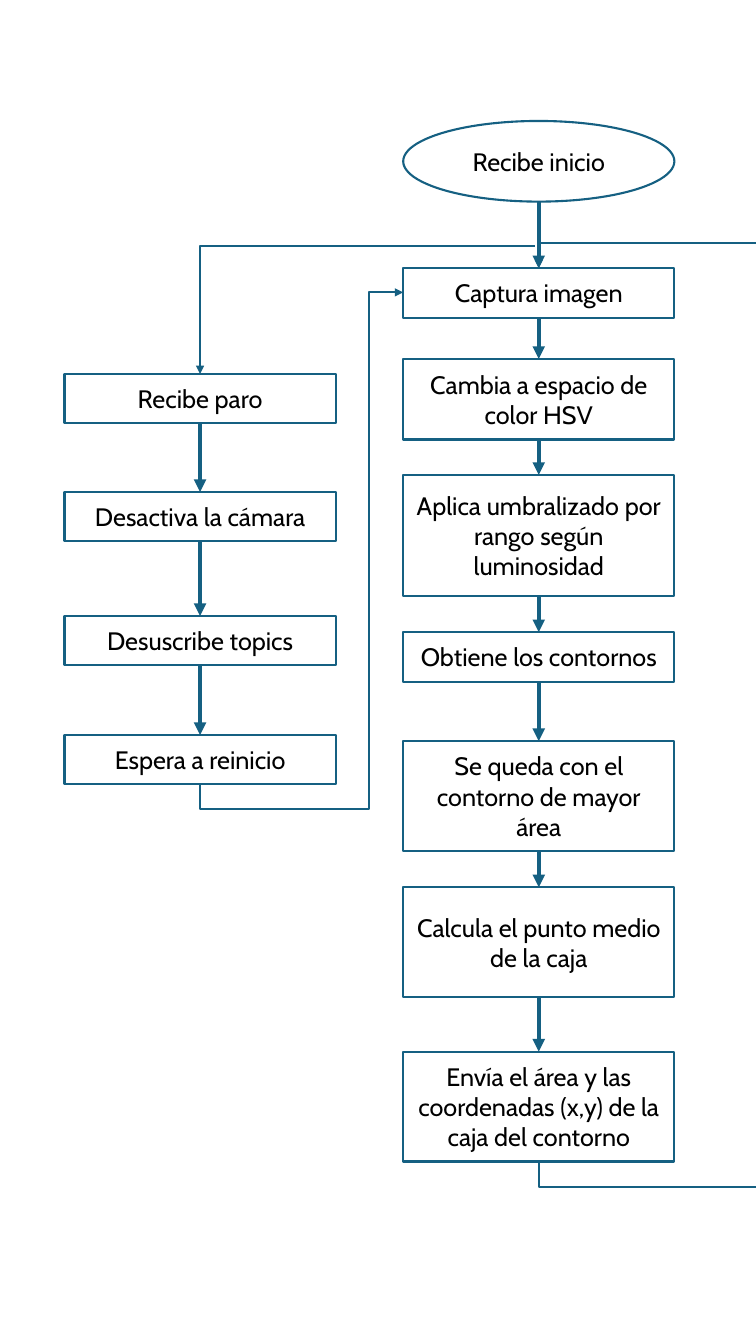
from dataclasses import dataclass

from lxml.etree import SubElement
from pptx import Presentation
from pptx.dml.color import RGBColor
from pptx.enum.shapes import MSO_CONNECTOR as Link, MSO_SHAPE as Form
from pptx.enum.text import MSO_ANCHOR as Anchor, PP_ALIGN as Align
from pptx.oxml.ns import qn
from pptx.util import Inches, Pt


@dataclass(frozen=True)
class Theme:
    font: str = "Cabin"
    text_size: float = 18
    ink: RGBColor = RGBColor(0x00, 0x00, 0x00)
    paper: RGBColor = RGBColor(0xFF, 0xFF, 0xFF)
    accent: RGBColor = RGBColor(0x15, 0x60, 0x82)
    thin: float = 1.5
    thick: float = 3


COLUMNS, ROWS = 75, 133.3
BOX_WIDTH, BOX_HEIGHT = 26.9, 4.9
MAIN_LEFT, STOP_LEFT = 40, 6.4
MAIN_AXIS = MAIN_LEFT + BOX_WIDTH / 2
STOP_AXIS = STOP_LEFT + BOX_WIDTH / 2

MAIN_STEPS = [
    ("Recibe inicio", 12, 8, Form.OVAL),
    ("Captura imagen", 26.6, BOX_HEIGHT, Form.RECTANGLE),
    ("Cambia a espacio de color HSV", 35.6, 8, Form.RECTANGLE),
    ("Aplica umbralizado por rango según luminosidad", 47.1, 12, Form.RECTANGLE),
    ("Obtiene los contornos", 62.7, BOX_HEIGHT, Form.RECTANGLE),
    ("Se queda con el contorno de mayor área", 73.5, 10.9, Form.RECTANGLE),
    ("Calcula el punto medio de la caja", 88, 10.9, Form.RECTANGLE),
    ("Envía el área y las coordenadas (x,y) de la caja del contorno", 104.3, 10.9, Form.RECTANGLE),
]
STOP_STEPS = [
    ("Recibe paro", 37.1, BOX_HEIGHT, Form.RECTANGLE),
    ("Desactiva la cámara", 48.8, BOX_HEIGHT, Form.RECTANGLE),
    ("Desuscribe topics", 61.1, BOX_HEIGHT, Form.RECTANGLE),
    ("Espera a reinicio", 72.9, BOX_HEIGHT, Form.RECTANGLE),
]
LOOP_EXIT = [(MAIN_AXIS, 115.2), (MAIN_AXIS, 117.7), (COLUMNS, 117.7)]
LOOP_RETURN = [(COLUMNS, 24.1), (MAIN_AXIS, 24.1), (MAIN_AXIS, 26.6)]
STOP_BRANCH = [(53.1, 24.4), (STOP_AXIS, 24.4), (STOP_AXIS, 37.1)]
RESTART = [(STOP_AXIS, 77.8), (STOP_AXIS, 80.2), (36.6, 80.2), (36.6, 29), (MAIN_LEFT, 29)]


class Flowchart:
    def __init__(self, deck, theme):
        self.theme = theme
        self.column = deck.slide_width / COLUMNS
        self.row = deck.slide_height / ROWS
        self.slide = deck.slides.add_slide(deck.slide_layouts[6])
        self.slide.background.fill.solid()
        self.slide.background.fill.fore_color.rgb = theme.paper

    def point(self, column, row):
        return round(column * self.column), round(row * self.row)

    def stroke(self, line, weight, arrow=False):
        line.color.rgb = self.theme.accent
        line.width = Pt(weight)
        if arrow:
            SubElement(line._get_or_add_ln(), qn("a:tailEnd"), type="triangle")

    def step(self, text, left, top, height, form):
        box = self.slide.shapes.add_shape(
            form, *self.point(left, top), *self.point(BOX_WIDTH, height))
        box.shadow.inherit = False
        box.fill.solid()
        box.fill.fore_color.rgb = self.theme.paper
        self.stroke(box.line, self.theme.thin)
        box.text_frame.word_wrap = True
        box.text_frame.vertical_anchor = Anchor.MIDDLE
        para = box.text_frame.paragraphs[0]
        para.alignment = Align.CENTER
        span = para.add_run()
        span.text = text
        span.font.name = self.theme.font
        span.font.size = Pt(self.theme.text_size)
        span.font.color.rgb = self.theme.ink
        return box

    def arrow(self, upper, lower):
        axis = upper.left + upper.width // 2
        link = self.slide.shapes.add_connector(
            Link.STRAIGHT, axis, upper.top + upper.height, axis, lower.top)
        if upper.auto_shape_type == Form.RECTANGLE:
            link.begin_connect(upper, 2)
        link.end_connect(lower, 0)
        self.stroke(link.line, self.theme.thick, arrow=True)
        SubElement(link._element.spPr, qn("a:effectLst"))

    def sequence(self, steps, left):
        boxes = [self.step(text, left, top, height, form) for text, top, height, form in steps]
        for upper, lower in zip(boxes, boxes[1:]):
            self.arrow(upper, lower)

    def route(self, stops, arrow=True):
        start, *turns = [self.point(*stop) for stop in stops]
        builder = self.slide.shapes.build_freeform(*start)
        builder.add_line_segments(turns, close=False)
        path = builder.convert_to_shape()
        path.shadow.inherit = False
        path.fill.background()
        self.stroke(path.line, self.theme.thin, arrow)


def main():
    deck = Presentation()
    deck.slide_width, deck.slide_height = Inches(7.5), Inches(13.33)
    chart = Flowchart(deck, Theme())
    chart.sequence(MAIN_STEPS, MAIN_LEFT)
    chart.sequence(STOP_STEPS, STOP_LEFT)
    chart.route(LOOP_EXIT, arrow=False)
    for stops in (LOOP_RETURN, STOP_BRANCH, RESTART):
        chart.route(stops)
    deck.save("out.pptx")


if __name__ == "__main__":
    main()
